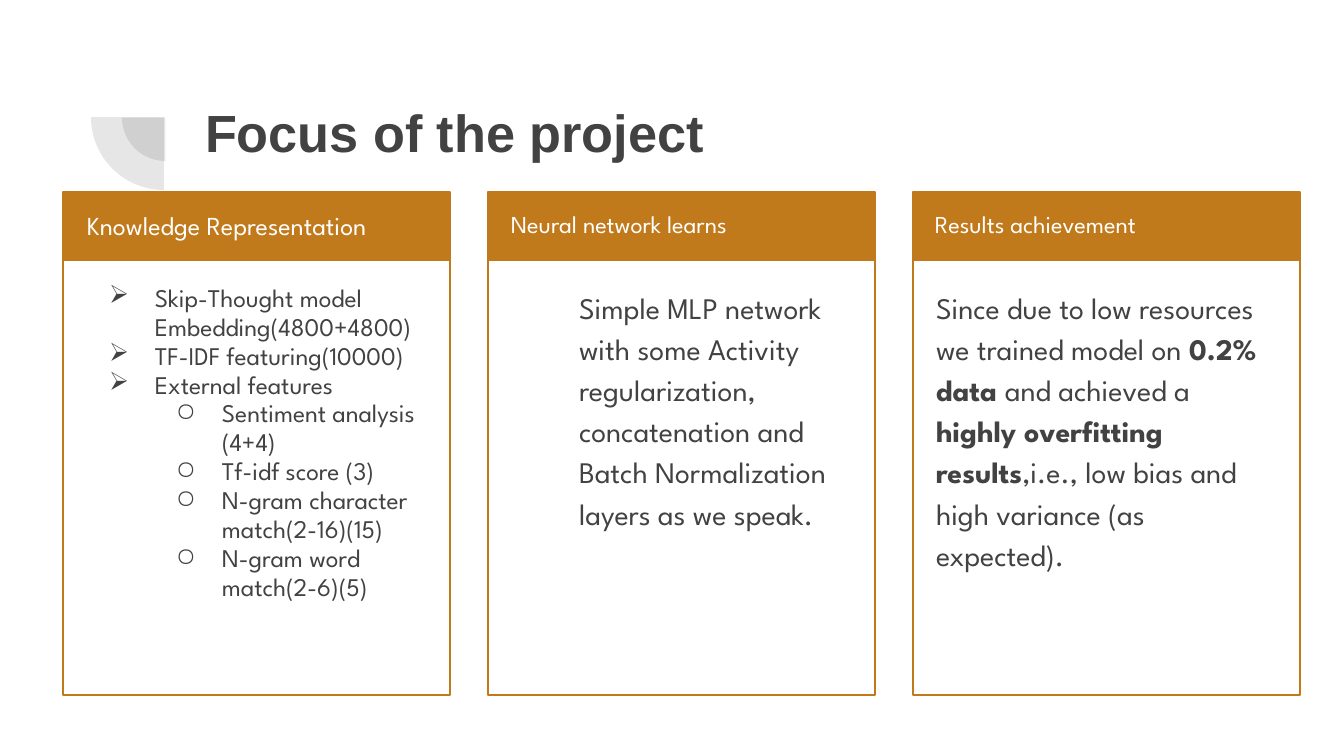
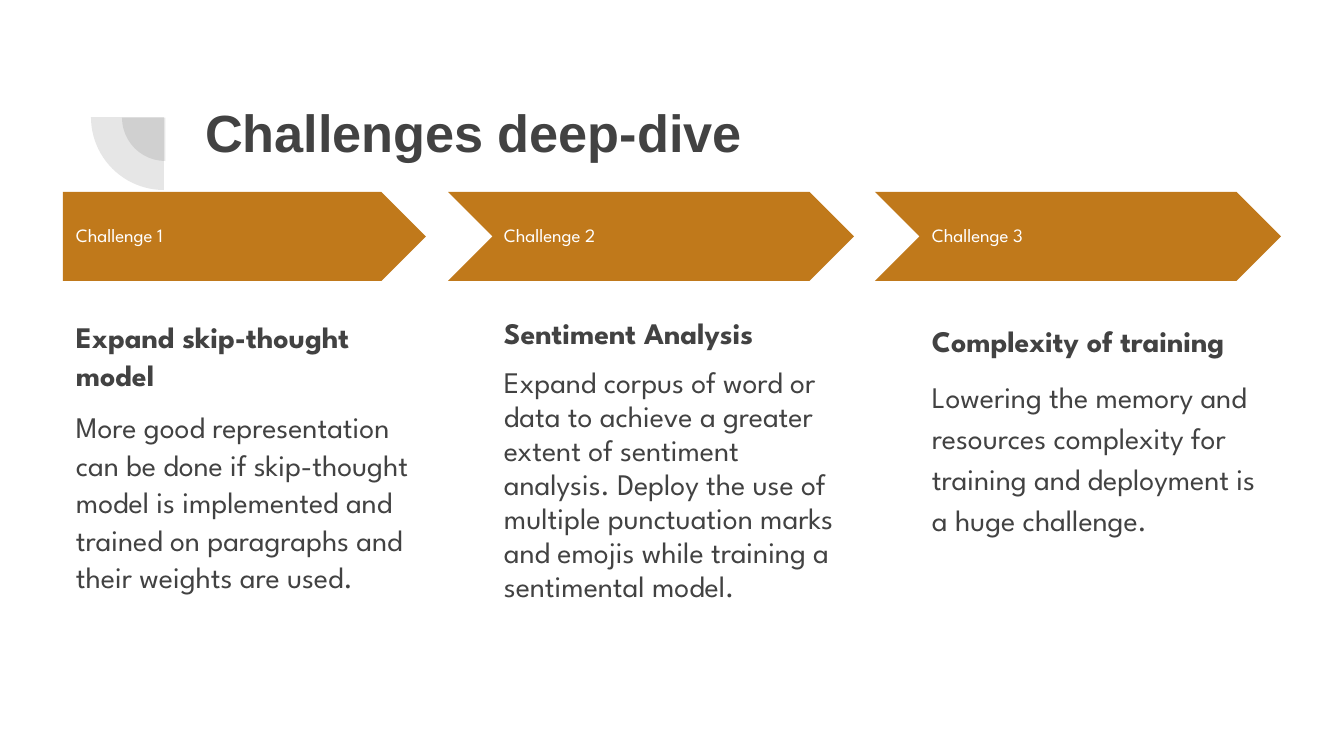
"""Build two slides: the focus of the project and its challenges."""
import pptx
import pptx.util
import pptx.dml.color
import pptx.enum.shapes
import pptx.enum.text
from lxml import etree

COLORS = {"accent": "C0791B", "text": "424242", "white": "FFFFFF"}
TITLE_FONT, BODY_FONT = "Arial", "League Spartan"
PX = 914400 / 134.4
INSET = 13
SHAPE = pptx.enum.shapes.MSO_SHAPE
ANCHOR = pptx.enum.text.MSO_ANCHOR

PIES = [(122, 74, 87), (91, 44, 146)]
BULLETS = ["➢", "○"]

CARDS = [
    {"head": "Knowledge Representation", "head_size": 13.9, "size": 13.6,
     "format": {"spacing": 0.95},
     "items": [
         (0, "Skip-Thought model Embedding(4800+4800)"),
         (0, "TF-IDF featuring(10000)"),
         (0, "External features"),
         (1, "Sentiment analysis (4+4)"),
         (1, "Tf-idf score (3)"),
         (1, "N-gram character match(2-16)(15)"),
         (1, "N-gram word match(2-6)(5)"),
     ]},
    {"head": "Neural network learns", "head_size": 13, "size": 16,
     "format": {"spacing": 1.15, "after": 12, "indent": 67},
     "items": [(None, "Simple MLP network with some Activity regularization, "
                      "concatenation and Batch Normalization layers as we speak.")]},
    {"head": "Results achievement", "head_size": 13, "size": 16,
     "format": {"spacing": 1.15, "after": 12},
     "items": [(None, "Since due to low resources we trained model on *0.2% data *"
                      "and achieved a *highly overfitting results*"
                      ",i.e., low bias and high variance (as expected).")]},
]

CHALLENGES = [
    ("Challenge 1", "Expand skip-thought model", 1.05,
     "More good representation can be done if skip-thought model is implemented "
     "and trained on paragraphs and their weights are used."),
    ("Challenge 2", "Sentiment Analysis", 0.95,
     "Expand corpus of word or data to achieve a greater extent of sentiment "
     "analysis. Deploy the use of multiple punctuation marks and emojis while "
     "training a sentimental model."),
    ("Challenge 3", "Complexity of training", 1.15,
     "Lowering the memory and resources complexity for training and deployment "
     "is a huge challenge."),
]


def px(*values):
    """Turn pixel lengths into EMU."""
    return [pptx.util.Emu(round(v * PX)) for v in values]


def rgb(name):
    """Return a named colour."""
    return pptx.dml.color.RGBColor.from_string(COLORS[name])


def sub(parent, tag, **attributes):
    """Append a DrawingML element."""
    return etree.SubElement(parent, pptx.oxml.ns.qn(tag), attributes)


def setup_frame(tf, anchor):
    """Set wrapping, anchor and insets of a text frame."""
    tf.word_wrap = True
    tf.auto_size = pptx.enum.text.MSO_AUTO_SIZE.NONE
    tf.vertical_anchor = anchor
    inset, = px(INSET)
    tf.margin_left = tf.margin_right = tf.margin_top = tf.margin_bottom = inset


def style_run(r, size, color, font, bold):
    """Format a run."""
    r.font.size = pptx.util.Pt(size)
    r.font.name = font
    r.font.bold = bold
    r.font.color.rgb = rgb(color)


def add_text(s, box, size, color="text", anchor=ANCHOR.TOP):
    """Add a text box and return a function that adds paragraphs to it."""
    tf = s.shapes.add_textbox(*px(*box)).text_frame
    setup_frame(tf, anchor)
    unused = [tf.paragraphs[0]]

    def add_paragraph(text, spacing, before=0, after=0, indent=0, level=None):
        p = unused.pop() if unused else tf.add_paragraph()
        p.line_spacing = spacing
        p.space_before, p.space_after = pptx.util.Pt(before), pptx.util.Pt(after)
        pPr = p._p.get_or_add_pPr()
        if level is not None:
            p.level = level
            indent = 67 * (level + 1)
            pPr.set("indent", str(px(-46)[0]))
            sub(sub(pPr, "a:buClr"), "a:srgbClr", val=COLORS[color])
            sub(pPr, "a:buChar", char=BULLETS[level])
        pPr.set("marL", str(px(indent)[0]))
        for i, part in enumerate(text.split("*")):
            if part:
                r = p.add_run()
                r.text = part
                style_run(r, size, color, BODY_FONT, i % 2 == 1)

    return add_paragraph


def add_block(s, kind, box, fill=None, line=None):
    """Add a preset shape with an optional fill and outline."""
    sp = s.shapes.add_shape(kind, *px(*box))
    sp.shadow.inherit = False
    if fill:
        sp.fill.solid()
        sp.fill.fore_color.rgb = rgb(fill)
    else:
        sp.fill.background()
    if line:
        sp.line.color.rgb = rgb(line)
        sp.line.width = pptx.util.Pt(0.75)
    else:
        sp.line.fill.background()
    return sp


def add_slide(prs, title):
    """Add a slide with the shared title and quarter rings."""
    s = prs.slides.add_slide(prs.slide_layouts[5])
    for left, top, size in PIES:
        sp = add_block(s, SHAPE.PIE, (left, top, size, size), "text")
        sp.rotation = 270
        sp.adjustments[0], sp.adjustments[1] = 108, 162
        color = sp._element.spPr.find(".//" + pptx.oxml.ns.qn("a:srgbClr"))
        sub(color, "a:alpha", val="13000")
    sp = s.shapes.title
    sp.left, sp.top, sp.width, sp.height = px(192, 87, 1034, 146)
    tf = sp.text_frame
    tf.text = title
    setup_frame(tf, ANCHOR.TOP)
    p = tf.paragraphs[0]
    p.alignment = pptx.enum.text.PP_ALIGN.LEFT
    style_run(p.runs[0], 28, "text", TITLE_FONT, True)
    return s


def build_focus(prs):
    """Build the slide of three cards."""
    s = add_slide(prs, "Focus of the project")
    for i, card in enumerate(CARDS):
        left, text_left = 63 + 425 * i, 74 + 424 * i
        add_block(s, SHAPE.RECTANGLE, (left, 192, 387, 69), fill="accent")
        add_block(s, SHAPE.RECTANGLE, (left, 192, 387, 503), line="accent")
        head = add_text(s, (text_left, 192, 367, 67), card["head_size"], "white")
        head(card["head"], 1.15)
        body = add_text(s, (text_left + 1, 271, 364, 411), card["size"])
        for level, text in card["items"]:
            body(text, level=level, **card["format"])


def build_challenges(prs):
    """Build the slide of three arrows."""
    s = add_slide(prs, "Challenges deep-dive")
    for i, (label, heading, spacing, text) in enumerate(CHALLENGES):
        text_left = 63 + 428 * i
        if i == 0:
            add_block(s, SHAPE.PENTAGON, (63, 192, 363, 89), fill="accent")
        else:
            add_block(s, SHAPE.CHEVRON, (21 + 427 * i, 192, 406, 89), fill="accent")
        tag = add_text(s, (text_left, 214, 332, 46), 10.1, "white", ANCHOR.MIDDLE)
        tag(label, 0.8)
        body = add_text(s, (text_left, 304, 363, 390), 16)
        body(f"*{heading}*", spacing)
        body(text, spacing, before=8, after=8)


def main():
    """Build and save the presentation."""
    prs = pptx.Presentation()
    prs.slide_width, prs.slide_height = px(1344, 756)
    build_focus(prs)
    build_challenges(prs)
    prs.save("out.pptx")


if __name__ == "__main__":
    main()
